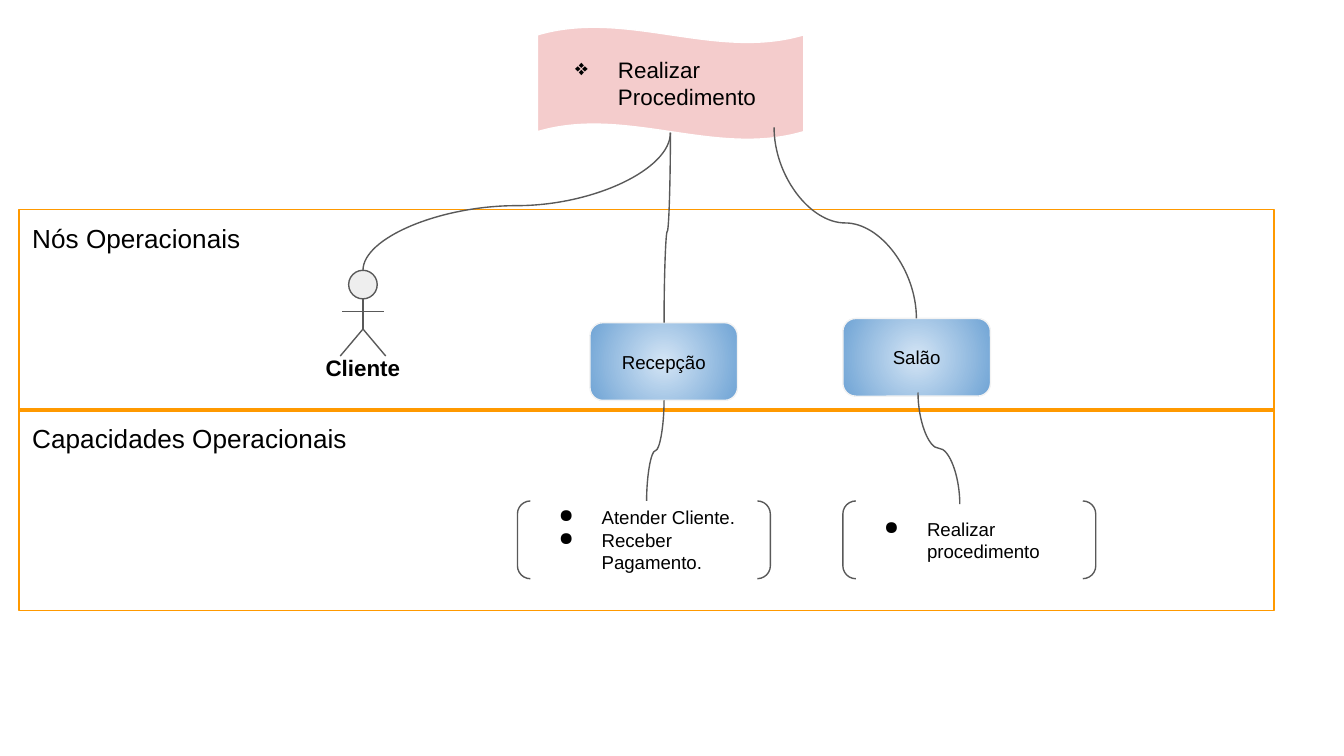
from lxml.etree import SubElement
from pptx import Presentation
from pptx.dml.color import RGBColor
from pptx.enum.shapes import MSO_CONNECTOR as Link, MSO_SHAPE as Preset
from pptx.enum.text import MSO_ANCHOR as Anchor, PP_ALIGN as Align
from pptx.oxml.ns import qn
from pptx.util import Cm, Pt

BLACK = RGBColor(0x00, 0x00, 0x00)
WHITE = RGBColor(0xFF, 0xFF, 0xFF)
GRAY = RGBColor(0x59, 0x59, 0x59)
LIGHT_GRAY = RGBColor(0xEE, 0xEE, 0xEE)
NODE_EDGE = RGBColor(0xF3, 0xF3, 0xF3)
ORANGE = RGBColor(0xFF, 0x99, 0x00)
PINK = RGBColor(0xF4, 0xCC, 0xCC)
PALE_BLUE = RGBColor(0xD4, 0xE5, 0xF5)
BLUE = RGBColor(0x70, 0xA4, 0xD5)


def add_bullet(para, mark):
    props = para._p.get_or_add_pPr()
    props.set("marL", str(Cm(1.27)))
    props.set("indent", str(Cm(-0.81)))
    color = SubElement(props, qn("a:buClr"))
    SubElement(color, qn("a:srgbClr"), val=str(BLACK))
    SubElement(props, qn("a:buChar"), char=mark)


def write(shape, lines, size, anchor=Anchor.MIDDLE, align=Align.LEFT,
          bullet=None, bold=False):
    frame = shape.text_frame
    frame.word_wrap = True
    frame.vertical_anchor = anchor
    frame.margin_left = frame.margin_right = Cm(0.25)
    frame.margin_top = frame.margin_bottom = Cm(0.25)
    frame.text = "\n".join(lines)
    for para in frame.paragraphs:
        para.alignment = align
        if bullet:
            add_bullet(para, bullet)
        para.font.name = "Arial"
        para.font.size = Pt(size)
        para.font.bold = bold
        para.font.color.rgb = BLACK


def draw_shape(shapes, preset, box, edge, fill=None):
    shape = shapes.add_shape(preset, *(Cm(length) for length in box))
    shape.shadow.inherit = False
    shape.line.color.rgb = edge
    shape.line.width = Pt(0.75)
    if fill is None:
        shape.fill.background()
    else:
        shape.fill.solid()
        shape.fill.fore_color.rgb = fill
    return shape


def draw_line(shapes, start, end, kind=Link.STRAIGHT):
    line = shapes.add_connector(kind, *(Cm(length) for length in (*start, *end)))
    line.line.color.rgb = GRAY
    line.line.width = Pt(0.75)
    SubElement(line._element.spPr, qn("a:effectLst"))
    return line


def draw_curve(shapes, start, end, bend=0.5):
    """S-curve leaving downwards: a sideways curve turned a quarter clockwise."""
    (x1, y1), (x2, y2) = start, end
    mid_x, mid_y = (x1 + x2) / 2, (y1 + y2) / 2
    half_x, half_y = (x2 - x1) / 2, (y2 - y1) / 2
    curve = draw_line(shapes, (mid_x - half_y, mid_y + half_x),
                      (mid_x + half_y, mid_y - half_x), Link.CURVE)
    props = curve._element.spPr
    props.find(qn("a:xfrm")).set("rot", str(90 * 60000))
    guides = props.find(qn("a:prstGeom")).find(qn("a:avLst"))
    SubElement(guides, qn("a:gd"), name="adj1", fmla=f"val {round(bend * 100000)}")


def draw_band(shapes, box, title):
    band = draw_shape(shapes, Preset.RECTANGLE, box, ORANGE)
    write(band, [title], 14, Anchor.TOP)


def draw_banner(shapes, box, title):
    banner = draw_shape(shapes, Preset.WAVE, box, WHITE, PINK)
    banner.adjustments[0] = 0.07
    write(banner, [title], 12, bullet="❖")


def draw_actor(shapes, box, name):
    left, top, width, height = box
    middle = left + width / 2
    head, shoulder, hip, foot = 0.54, 0.78, 1.11, 1.62
    arm, stride, label_top = 0.39, 0.43, 1.34
    parts = shapes.add_group_shape().shapes
    draw_shape(parts, Preset.FLOWCHART_CONNECTOR,
               (middle - head / 2, top, head, head), GRAY, LIGHT_GRAY)
    # Body, arms and legs
    draw_line(parts, (middle, top + head), (middle, top + hip))
    draw_line(parts, (middle - arm, top + shoulder), (middle + arm, top + shoulder))
    for side in (-stride, stride):
        draw_line(parts, (middle, top + hip), (middle + side, top + foot))
    label = parts.add_textbox(Cm(left), Cm(top + label_top),
                              Cm(width), Cm(height - label_top))
    write(label, [name], 12, Anchor.TOP, Align.CENTER, bold=True)


def draw_node(shapes, box, name):
    node = draw_shape(shapes, Preset.ROUNDED_RECTANGLE, box, NODE_EDGE)
    node.fill.gradient()
    for stop, color in zip(node.fill.gradient_stops, (PALE_BLUE, BLUE)):
        stop.color.rgb = color
    # Radial gradient from the centre
    gradient = node._element.spPr.find(qn("a:gradFill"))
    gradient.remove(gradient.find(qn("a:lin")))
    radial = SubElement(gradient, qn("a:path"), path="circle")
    SubElement(radial, qn("a:fillToRect"), {side: "50000" for side in "ltrb"})
    write(node, [name], 10, align=Align.CENTER)


def draw_capabilities(shapes, box, lines):
    bracket = draw_shape(shapes, Preset.DOUBLE_BRACKET, box, GRAY)
    write(bracket, lines, 10, bullet="●")


def main():
    deck = Presentation()
    deck.slide_width, deck.slide_height = Cm(25.4), Cm(14.29)
    shapes = deck.slides.add_slide(deck.slide_layouts[6]).shapes

    # Bands
    for row, title in enumerate(("Nós Operacionais", "Capacidades Operacionais")):
        draw_band(shapes, (0.36, 3.96 + row * 3.77, 23.72, 3.81), title)

    # Process, actor and nodes
    draw_banner(shapes, (10.16, 0.51, 5.03, 2.13), "Realizar Procedimento")
    draw_actor(shapes, (5.44, 5.11, 2.84, 2.31), "Cliente")
    draw_node(shapes, (11.15, 6.1, 2.79, 1.47), "Recepção")
    draw_node(shapes, (15.93, 6.02, 2.79, 1.47), "Salão")

    # Capabilities of each node
    draw_capabilities(shapes, (9.78, 9.47, 4.78, 1.47),
                      ["Atender Cliente.", "Receber Pagamento."])
    draw_capabilities(shapes, (15.93, 9.47, 4.78, 1.47), ["Realizar procedimento"])

    # Links from process to nodes, then from nodes to capabilities
    for start, end, bend in (
        ((12.67, 2.51), (6.86, 5.11), 0.53),
        ((12.67, 2.51), (12.55, 6.1), 0.52),
        ((14.63, 2.41), (17.32, 6.02), 0.5),
        ((12.55, 7.57), (12.22, 9.47), 0.5),
        ((17.35, 7.42), (18.14, 9.53), 0.5),
    ):
        draw_curve(shapes, start, end, bend)

    deck.save("out.pptx")


if __name__ == "__main__":
    main()
